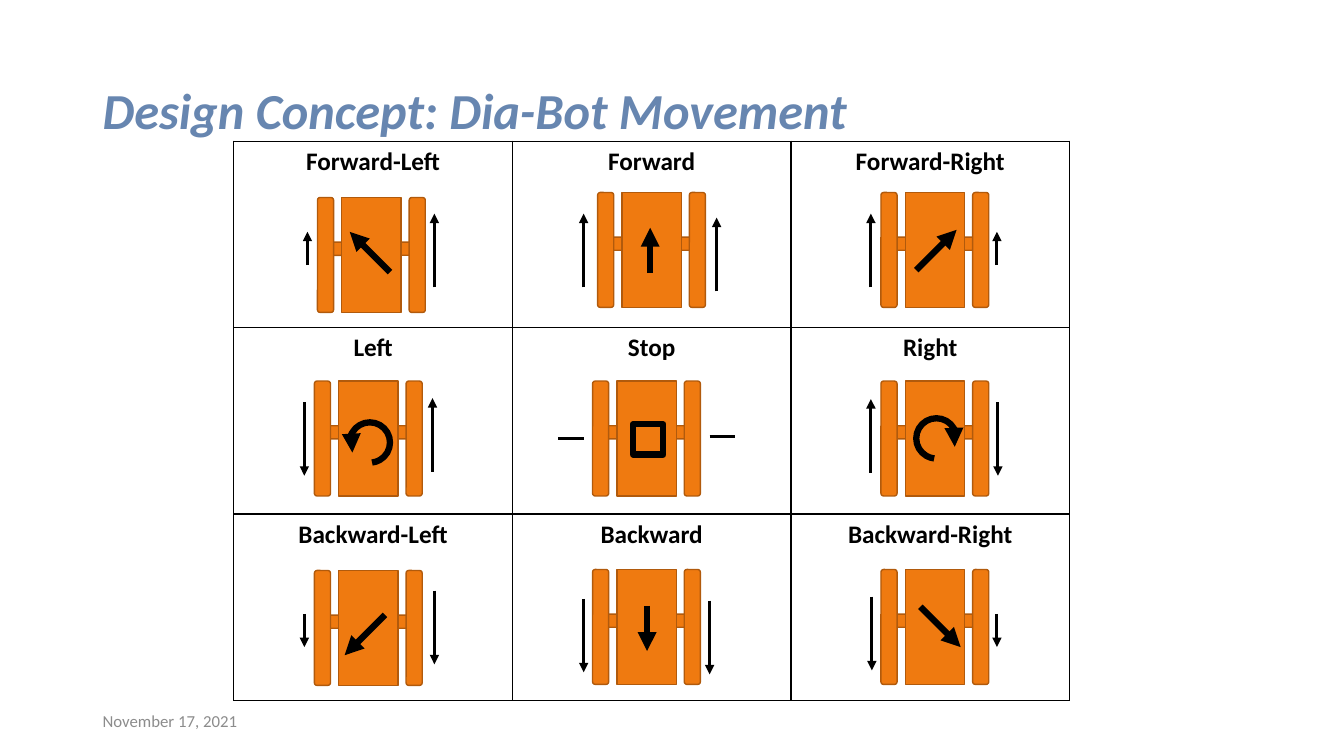
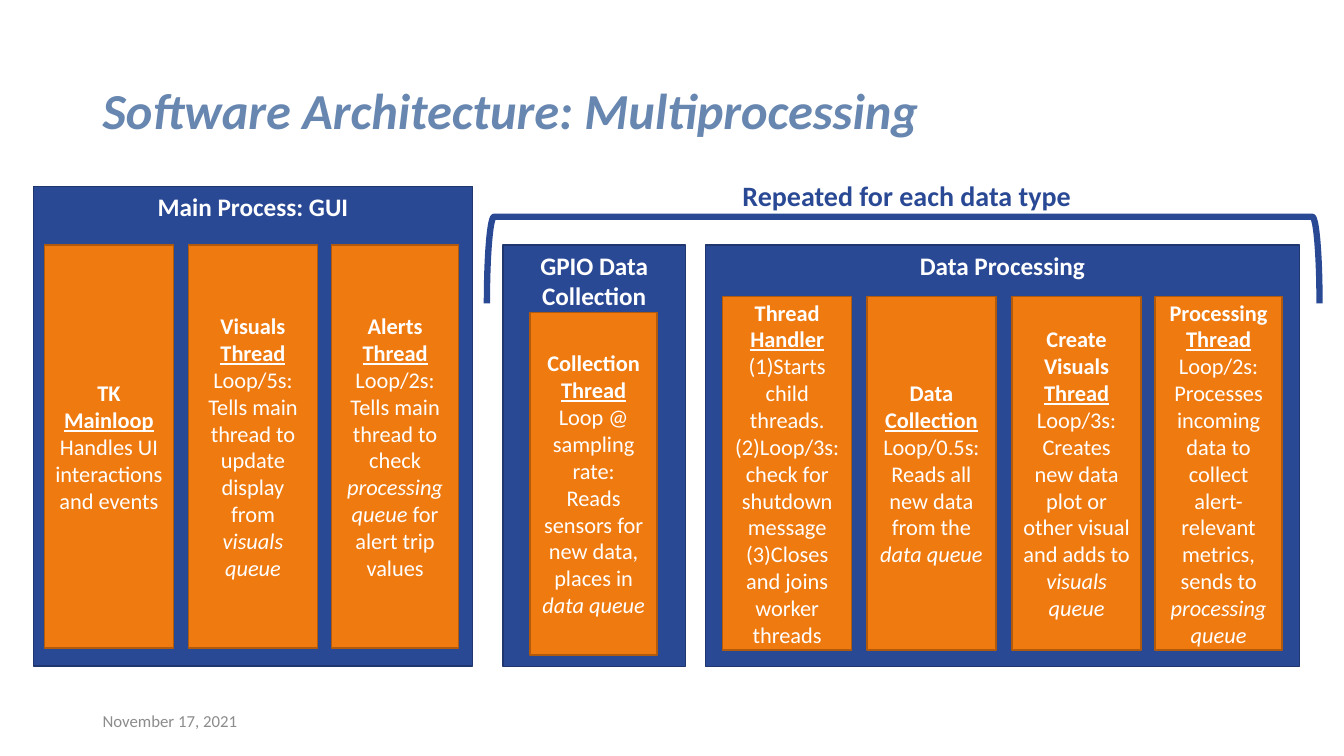
"""Builds two slides: the Dia-Bot movement table and its software architecture."""
from dataclasses import dataclass
from functools import partial
from typing import NamedTuple, Optional, Sequence, Union

from lxml.etree import SubElement
from pptx import Presentation
from pptx.dml.color import RGBColor
from pptx.enum.shapes import MSO_CONNECTOR as Connector, MSO_SHAPE as Shape
from pptx.enum.text import MSO_ANCHOR as Anchor, PP_ALIGN as Align
from pptx.oxml.ns import qn
from pptx.util import Pt

FONT = "Calibri"
TITLE_BLUE = RGBColor(0x67, 0x86, 0xB0)
DATE_GRAY = RGBColor(0x8C, 0x8C, 0x8C)
ORANGE = RGBColor(0xEF, 0x7A, 0x10)
ORANGE_EDGE = RGBColor(0xB1, 0x5A, 0x0C)
NAVY = RGBColor(0x2A, 0x49, 0x95)
NAVY_EDGE = RGBColor(0x1F, 0x36, 0x6E)
BLACK = RGBColor(0, 0, 0)
WHITE = RGBColor(0xFF, 0xFF, 0xFF)

TABLE_LEFT, TABLE_TOP = 167, 100.8
COLUMN_WIDTH, ROW_HEIGHT = 199, 133.2
BODY_WIDTH, BODY_HEIGHT, WHEEL_WIDTH = 42.5, 82.1, 11.5
ARC_SIZE, STOP_SIZE = 28.8, 21.6
THIN, THICK = 2.25, 4.5


class Span(NamedTuple):
    text: str
    bold: bool = False
    italic: bool = False
    underline: bool = False


class Stroke(NamedTuple):
    begin_x: float
    begin_y: float
    end_x: float
    end_y: float


class Spin(NamedTuple):
    left: float
    top: float
    start: float
    clockwise: bool


class Halt(NamedTuple):
    left: float
    top: float


@dataclass(frozen=True)
class Move:
    label: str
    left: float
    top: float
    tracks: tuple[Stroke, Stroke]
    sign: Union[Stroke, Spin, Halt]


@dataclass(frozen=True)
class Thread:
    left: float
    width: float
    paras: Sequence[Sequence[Span]]


@dataclass(frozen=True)
class Panel:
    title: str
    left: float
    top: float
    width: float
    height: float
    thread_top: float
    thread_height: float
    threads: Sequence[Thread]


Strong = partial(Span, bold=True)
Under = partial(Span, bold=True, underline=True)
Slanted = partial(Span, italic=True)


def upright(x: float, begin_y: float, end_y: float) -> Stroke:
    """Return a vertical stroke."""
    return Stroke(x, begin_y, x, end_y)


MOVES = (
    Move("Forward-Left", 244.1, 141.1,
         (upright(219.6, 189.4, 165.6), upright(310.3, 205.2, 152.6)),
         Stroke(278.6, 194.4, 249.8, 165.6)),
    Move("Forward", 444.2, 137.5,
         (upright(416.9, 205.2, 152.6), upright(511.9, 208.1, 155.5)),
         upright(464.4, 195.1, 162.7)),
    Move("Forward-Right", 646.6, 137.5,
         (upright(622.1, 205.2, 152.6), upright(712.1, 189.4, 165.6)),
         Stroke(654.5, 193, 683.3, 164.2)),
    Move("Left", 241.9, 272.2,
         (upright(217.4, 287.3, 339.8), upright(308.9, 337, 284.4)),
         Spin(249.8, 301.7, 89.97, False)),
    Move("Stop", 440.6, 272.2,
         (Stroke(398.9, 313.2, 416.9, 313.2), Stroke(506.9, 311.8, 524.9, 311.8)),
         Halt(452.2, 303.1)),
    Move("Right", 646.6, 272.2,
         (upright(622.1, 337.7, 285.1), upright(712.8, 287.3, 339.8)),
         Spin(654.5, 298.8, 93.28, True)),
    Move("Backward-Left", 241.9, 407.5,
         (upright(217.4, 438.5, 462.2), upright(310.3, 421.9, 474.5)),
         Stroke(275, 439.2, 246.2, 468)),
    Move("Backward", 440.6, 406.8,
         (upright(416.9, 427.7, 480.2), upright(506.9, 429.1, 481.7)),
         upright(462.2, 432.7, 465.1)),
    Move("Backward-Right", 646.6, 406.8,
         (upright(622.8, 426.2, 478.8), upright(712.1, 438.5, 462.2)),
         Stroke(657.4, 433.4, 686.2, 462.2)),
)

PANELS = (
    Panel("Main Process: GUI", 23.8, 133.2, 313.9, 342.7, 175, 288, (
        Thread(31.7, 92.2, (
            [Strong("TK "), Under("Mainloop")],
            [Span("Handles UI interactions and events")])),
        Thread(134.6, 92.2, (
            [Strong("Visuals")], [Under("Thread")], [Span("Loop/5s:")],
            [Span("Tells main thread to update display from "),
             Slanted("visuals queue")])),
        Thread(236.9, 90.7, (
            [Strong("Alerts")], [Under("Thread")], [Span("Loop/2s:")],
            [Span("Tells main thread to check "), Slanted("processing queue"),
             Span(" for alert trip values")])))),
    Panel("GPIO Data Collection", 359.3, 175, 130.3, 301, 223.2, 244.8, (
        Thread(378.7, 90.7, (
            [Strong("Collection "), Under("Thread")],
            [Span("Loop @ sampling rate:")],
            [Span("Reads sensors for new data, places in "),
             Slanted("data queue")])),)),
    Panel("Data Processing", 504, 175, 424.1, 301, 211.7, 252.7, (
        Thread(516.2, 92.2, (
            [Strong("Thread "), Under("Handler")],
            [Span("(1)Starts child threads.")],
            [Span("(2)Loop/3s: check for shutdown message")],
            [Span("(3)Closes and joins worker threads")])),
        Thread(619.2, 92.2, (
            [Strong("Data "), Under("Collection")], [Span("Loop/0.5s:")],
            [Span("Reads all new data from the "), Slanted("data queue")])),
        Thread(722.9, 92.2, (
            [Strong("Create Visuals")], [Under("Thread")], [Span("Loop/3s:")],
            [Span("Creates new data plot or other visual and adds to "),
             Slanted("visuals queue")])),
        Thread(825.1, 90.7, (
            [Strong("Processing")], [Under("Thread")], [Span("Loop/2s:")],
            [Span("Processes incoming data to collect alert-relevant metrics, sends to "),
             Slanted("processing queue")])))),
)


def write_text(frame, paras: Sequence[Sequence[Span]], *, size: float, color: RGBColor,
               align=Align.CENTER, anchor=Anchor.TOP, spacing: Optional[float] = None) -> None:
    """Fill a text frame with formatted paragraphs."""
    frame.word_wrap = True
    frame.vertical_anchor = anchor
    for index, spans in enumerate(paras):
        para = frame.paragraphs[0] if index == 0 else frame.add_paragraph()
        para.alignment = align
        if spacing:
            para.line_spacing = spacing
        for span in spans:
            run = para.add_run()
            run.text = span.text
            font = run.font
            font.name, font.size, font.color.rgb = FONT, Pt(size), color
            font.bold, font.italic, font.underline = span.bold, span.italic, span.underline


def add_box(page, left: float, top: float, width: float, height: float):
    """Add an empty text box and return its frame."""
    return page.shapes.add_textbox(Pt(left), Pt(top), Pt(width), Pt(height)).text_frame


def add_outline(shapes, kind, left: float, top: float, width: float, height: float, *,
                fill: Optional[RGBColor], edge: RGBColor, weight: float = 1):
    """Add a preset shape without shadow."""
    shape = shapes.add_shape(kind, Pt(left), Pt(top), Pt(width), Pt(height))
    shape.shadow.inherit = False
    if fill is None:
        shape.fill.background()
    else:
        shape.fill.solid()
        shape.fill.fore_color.rgb = fill
    shape.line.color.rgb = edge
    shape.line.width = Pt(weight)
    return shape


def add_arrowhead(shape, end: str) -> None:
    """Put a triangle on the headEnd or tailEnd of a line."""
    SubElement(shape.line._get_or_add_ln(), qn(f"a:{end}"), type="triangle")


def add_stroke(page, stroke: Stroke, *, weight: float, arrow: bool = True) -> None:
    """Draw a black line or arrow."""
    line = page.shapes.add_connector(Connector.STRAIGHT, *map(Pt, stroke))
    line.line.color.rgb = BLACK
    line.line.width = Pt(weight)
    SubElement(line._element.spPr, qn("a:effectLst"))
    if arrow:
        add_arrowhead(line, "tailEnd")


def add_bot(page, left: float, top: float) -> None:
    """Draw axle, body and both wheels around the body's corner."""
    parts = page.shapes.add_group_shape().shapes
    paint = partial(add_outline, parts, fill=ORANGE, edge=ORANGE_EDGE)
    paint(Shape.ROUNDED_RECTANGLE, left - 13.7, top + 31.9, 69.8, 9.4)
    paint(Shape.RECTANGLE, left, top, BODY_WIDTH, BODY_HEIGHT)
    for offset in (-17.3, 48.2):
        paint(Shape.ROUNDED_RECTANGLE, left + offset, top, WHEEL_WIDTH, BODY_HEIGHT)


def add_sign(page, sign: Union[Stroke, Spin, Halt]) -> None:
    """Draw the direction sign on a bot's body."""
    if isinstance(sign, Stroke):
        add_stroke(page, sign, weight=THICK)
    elif isinstance(sign, Halt):
        add_outline(page.shapes, Shape.RECTANGLE, sign.left, sign.top, STOP_SIZE, STOP_SIZE,
                    fill=ORANGE, edge=BLACK, weight=THICK)
    else:
        arc = add_outline(page.shapes, Shape.ARC, sign.left, sign.top, ARC_SIZE, ARC_SIZE,
                          fill=None, edge=BLACK, weight=THICK)
        arc.adjustments[0], arc.adjustments[1] = sign.start, 50.21
        add_arrowhead(arc, "headEnd")
        if sign.clockwise:
            arc._element.spPr.xfrm.set("flipH", "1")


def add_borders(cell) -> None:
    """Give a cell thin black borders and no fill."""
    properties = cell._tc.get_or_add_tcPr()
    for side in "LRTB":
        line = SubElement(properties, qn(f"a:ln{side}"), w=str(Pt(1)))
        solid = SubElement(line, qn("a:solidFill"))
        SubElement(solid, qn("a:srgbClr"), val=str(BLACK))
    cell.fill.background()


def add_move_table(page) -> None:
    """Add the table of movement names."""
    table = page.shapes.add_table(3, 3, Pt(TABLE_LEFT), Pt(TABLE_TOP),
                                  Pt(3 * COLUMN_WIDTH), Pt(3 * ROW_HEIGHT)).table
    table.first_row = table.horz_banding = False
    for column in table.columns:
        column.width = Pt(COLUMN_WIDTH)
    for row in table.rows:
        row.height = Pt(ROW_HEIGHT)
    for cell, move in zip(table.iter_cells(), MOVES):
        add_borders(cell)
        write_text(cell.text_frame, [[Strong(move.label)]], size=18, color=BLACK)


def add_page(deck, title: str):
    """Add a blank page with the shared title and date."""
    page = deck.slides.add_slide(deck.slide_layouts[6])
    write_text(add_box(page, 66.2, 28.8, 828, 104.4), [[Strong(title, italic=True)]], size=36,
               color=TITLE_BLUE, align=Align.LEFT, anchor=Anchor.MIDDLE, spacing=0.9)
    write_text(add_box(page, 66.2, 500.4, 216, 28.8), [[Span("November 17, 2021")]], size=12,
               color=DATE_GRAY, align=Align.LEFT, anchor=Anchor.MIDDLE)
    return page


def add_panel(page, panel: Panel) -> None:
    """Draw a process panel with its threads."""
    back = add_outline(page.shapes, Shape.RECTANGLE, panel.left, panel.top, panel.width,
                       panel.height, fill=NAVY, edge=NAVY_EDGE)
    write_text(back.text_frame, [[Strong(panel.title)]], size=18, color=WHITE)
    for thread in panel.threads:
        card = add_outline(page.shapes, Shape.RECTANGLE, thread.left, panel.thread_top,
                           thread.width, panel.thread_height, fill=ORANGE, edge=ORANGE_EDGE)
        write_text(card.text_frame, thread.paras, size=16, color=WHITE, anchor=Anchor.MIDDLE)


def main() -> None:
    """Build and save the deck."""
    deck = Presentation()
    deck.slide_width, deck.slide_height = Pt(960), Pt(540)
    page = add_page(deck, "Design Concept: Dia-Bot Movement")
    add_move_table(page)
    for move in MOVES:
        add_bot(page, move.left, move.top)
        for track in move.tracks:
            add_stroke(page, track, weight=THIN, arrow=not isinstance(move.sign, Halt))
        add_sign(page, move.sign)
    page = add_page(deck, "Software Architecture: Multiprocessing")
    for panel in PANELS:
        add_panel(page, panel)
    bracket = add_outline(page.shapes, Shape.LEFT_BRACKET, 614.2, -111.6, 61.9, 594.7,
                          fill=None, edge=NAVY, weight=THICK)
    bracket.rotation = 90
    write_text(add_box(page, 359.3, 123.8, 576.7, 31.7),
               [[Strong("Repeated for each data type")]], size=20, color=NAVY)
    deck.save("out.pptx")


if __name__ == "__main__":
    main()
